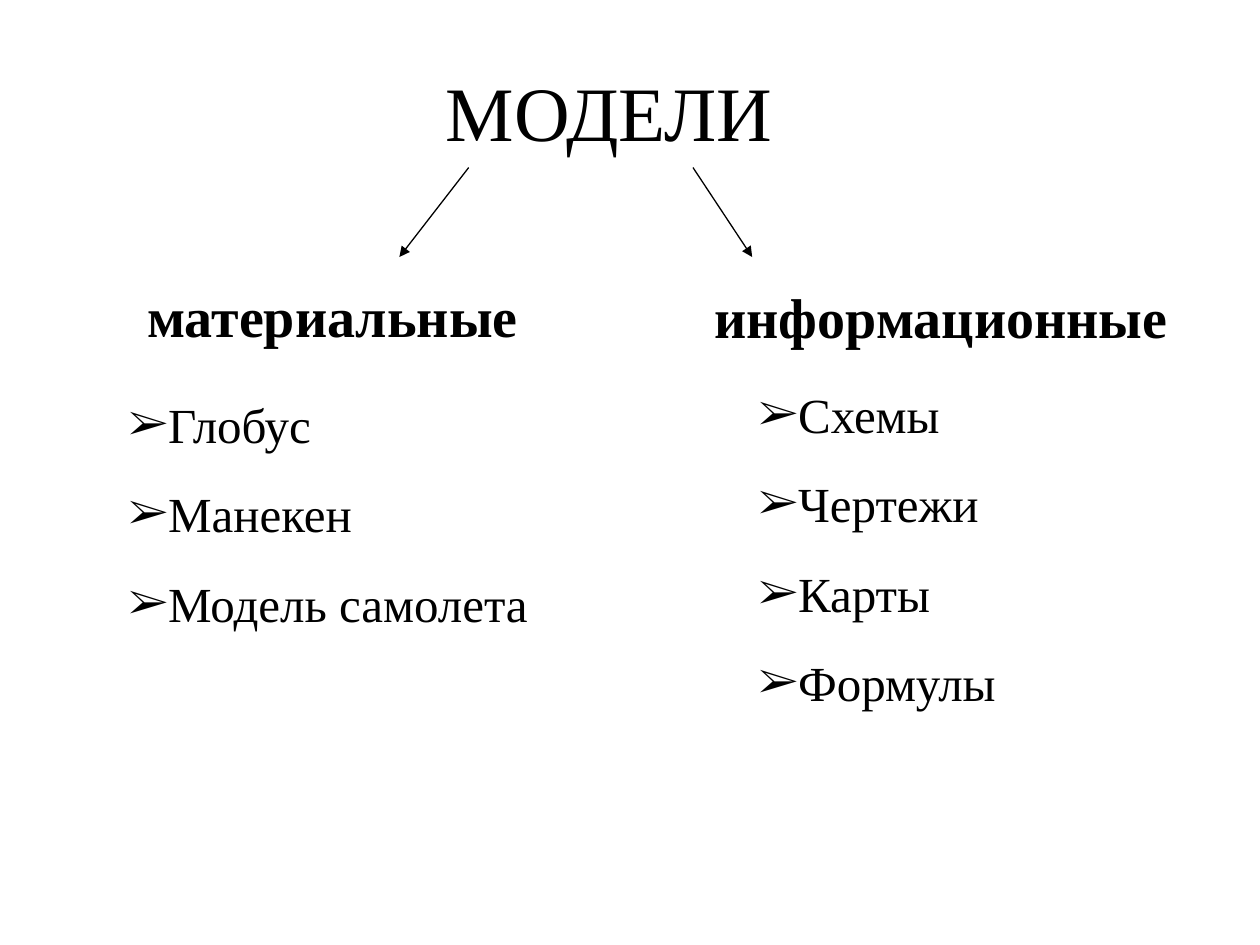
from lxml.etree import SubElement
from pptx import Presentation
from pptx.dml.color import RGBColor
from pptx.enum.shapes import MSO_CONNECTOR
from pptx.enum.text import MSO_ANCHOR, MSO_AUTO_SIZE, PP_ALIGN
from pptx.oxml.ns import qn
from pptx.util import Inches, Pt

COLORS = {"ink": "000000", "paper": "FFFFFF"}
FONT = "Times New Roman"
BULLET = "➢"
TITLE = {"text": "МОДЕЛИ", "box": (1.92, 0.25, 5.83, 1.25)}
BRANCHES = [
    {
        "heading": "материальные",
        "heading_box": (0.83, 2, 3.62, 1),
        "examples": ["Глобус", "Манекен", "Модель самолета"],
        "examples_box": (0.92, 3.08, 3.94, 1.99),
        "arrow": (3.72, 1.33, 3.17, 2.04),
    },
    {
        "heading": "информационные",
        "heading_box": (5.58, 2, 3.78, 1.02),
        "examples": ["Схемы", "Чертежи", "Карты", "Формулы"],
        "examples_box": (5.92, 3, 3.47, 2.7),
        "arrow": (5.5, 1.33, 5.97, 2.04),
    },
]


def color(name):
    return RGBColor.from_string(COLORS[name])


def fill_placeholder(placeholder, lines, box, size, anchor, align, bold=False, side_margin=0.1):
    placeholder.left, placeholder.top, placeholder.width, placeholder.height = map(Inches, box)
    frame = placeholder.text_frame
    frame.text = "\n".join(lines)
    frame.auto_size = MSO_AUTO_SIZE.NONE
    frame.word_wrap = True
    frame.margin_left = frame.margin_right = Inches(side_margin)
    frame.vertical_anchor = anchor
    for paragraph in frame.paragraphs:
        paragraph.alignment = align
        paragraph.space_before = Pt(0)
        for run in paragraph.runs:
            run.font.name = FONT
            run.font.size = Pt(size)
            run.font.bold = bold
            run.font.color.rgb = color("ink")
    return frame


def add_bullets(frame):
    for number, paragraph in enumerate(frame.paragraphs):
        properties = paragraph._p.get_or_add_pPr()
        properties.set("marL", "0")
        properties.set("indent", "0")
        bullet_color = SubElement(properties, qn("a:buClr"))
        SubElement(bullet_color, qn("a:srgbClr"), val=COLORS["ink"])
        SubElement(properties, qn("a:buSzPct"), val="88000")
        SubElement(properties, qn("a:buFont"), typeface=FONT)
        SubElement(properties, qn("a:buChar"), char=BULLET)
        paragraph.space_before = Pt(17.5 if number else 0)


def add_arrow(slide, ends):
    arrow = slide.shapes.add_connector(MSO_CONNECTOR.STRAIGHT, *map(Inches, ends))
    arrow.line.color.rgb = color("ink")
    arrow.line.width = Pt(0.75)
    SubElement(arrow.line._get_or_add_ln(), qn("a:tailEnd"), type="triangle")
    SubElement(arrow._element.spPr, qn("a:effectLst"))


def main():
    """Build the slide that divides models into two kinds."""
    deck = Presentation()
    deck.slide_width, deck.slide_height = Inches(10), Inches(7.5)
    comparison = deck.slide_layouts.get_by_name("Comparison")
    slide = deck.slides.add_slide(comparison)
    slide.background.fill.solid()
    slide.background.fill.fore_color.rgb = color("paper")

    title, *bodies = slide.placeholders
    fill_placeholder(title, [TITLE["text"]], TITLE["box"], 44, MSO_ANCHOR.MIDDLE, PP_ALIGN.CENTER)
    for branch, heading, examples in zip(BRANCHES, bodies[::2], bodies[1::2]):
        fill_placeholder(heading, [branch["heading"]], branch["heading_box"], 32,
                         MSO_ANCHOR.MIDDLE, PP_ALIGN.CENTER, bold=True, side_margin=0)
        add_bullets(fill_placeholder(examples, branch["examples"], branch["examples_box"], 28,
                                     MSO_ANCHOR.TOP, PP_ALIGN.LEFT))
        add_arrow(slide, branch["arrow"])
    deck.save("out.pptx")


if __name__ == "__main__":
    main()
